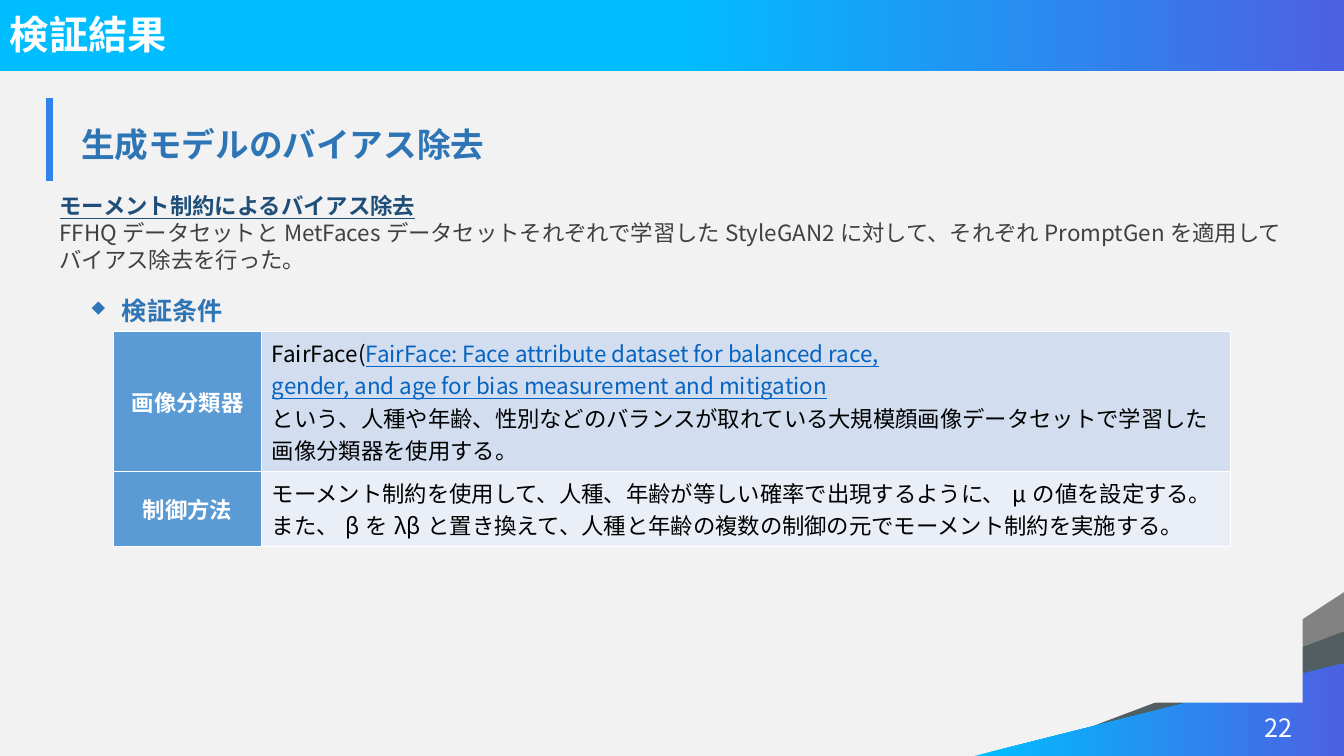
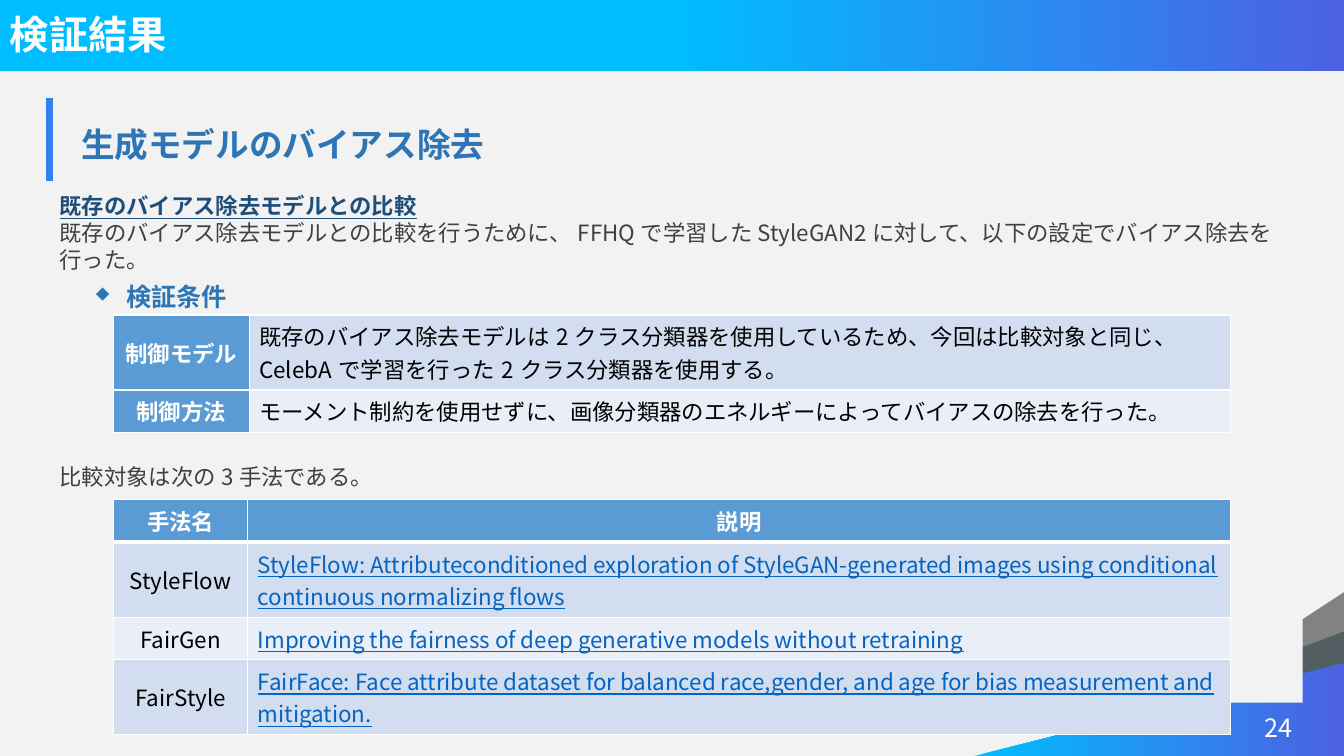
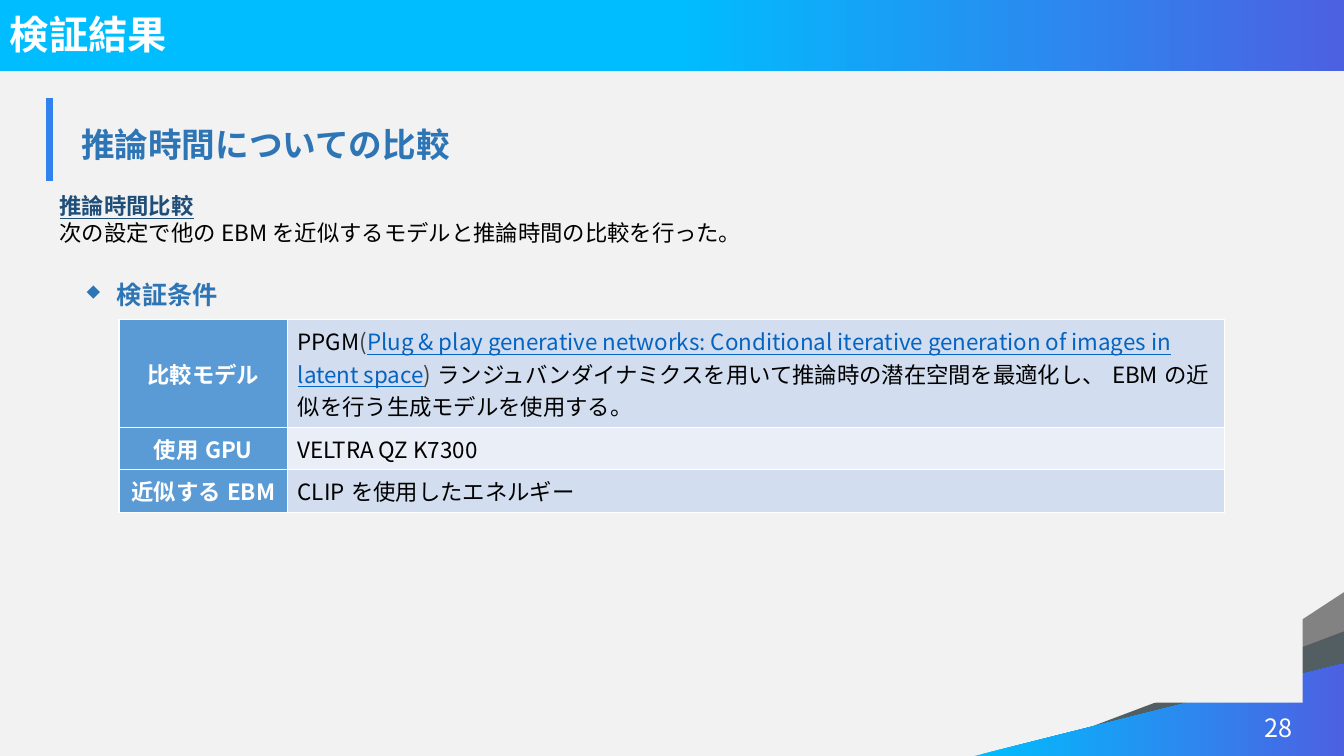
from lxml import etree
from pptx import Presentation
from pptx.dml.color import RGBColor
from pptx.enum.shapes import MSO_SHAPE
from pptx.enum.text import MSO_ANCHOR, PP_ALIGN
from pptx.oxml.ns import qn
from pptx.util import Pt

RECT, TRIANGLE = MSO_SHAPE.RECTANGLE, MSO_SHAPE.RIGHT_TRIANGLE
TOP, MIDDLE = MSO_ANCHOR.TOP, MSO_ANCHOR.MIDDLE
LEFT, CENTER, RIGHT = PP_ALIGN.LEFT, PP_ALIGN.CENTER, PP_ALIGN.RIGHT
SANS, CABIN = "Noto Sans CJK JP", "Cabin"

WHITE = RGBColor(0xFF, 0xFF, 0xFF)
BLACK = RGBColor(0, 0, 0)
PAPER = RGBColor(0xF2, 0xF2, 0xF2)
CYAN = RGBColor(0x00, 0xBD, 0xFF)
VIOLET = RGBColor(0x4C, 0x61, 0xE2)
GREY = RGBColor(0x82, 0x82, 0x82)
SLATE = RGBColor(0x53, 0x5E, 0x62)
ACCENT = RGBColor(0x30, 0x83, 0xED)
BLUE = RGBColor(0x2E, 0x75, 0xB6)
NAVY = RGBColor(0x1F, 0x4E, 0x79)
DARK = RGBColor(0x40, 0x40, 0x40)
LINK = RGBColor(0x05, 0x63, 0xC1)
HEAD = RGBColor(0x5B, 0x9B, 0xD5)
BANDS = [RGBColor(0xD2, 0xDE, 0xEF), RGBColor(0xEA, 0xEF, 0xF7)]

BOLD = {WHITE, BLUE, NAVY}
UNDER = {LINK, NAVY}
WIDTH, HEIGHT = 960, 540
LINE, PAD = 23.17, 7.2  # height of a table text line, cell padding

# Triangles in the lower right corner: run, rise, colours
CORNER = [(179, 117, [GREY]), (236, 89, [SLATE]), (264, 66, [CYAN, VIOLET])]

# Tables: left, top, column widths, header row or not, rows.
# Rows: lines of text, label, paragraphs of (text, colour) pieces.
PAGES = [
    {"number": "22", "heading": "生成モデルのバイアス除去",
     "lead": "モーメント制約によるバイアス除去",
     "body": "FFHQデータセットとMetFacesデータセットそれぞれで学習したStyleGAN2に対して、"
             "それぞれPromptGenを適用してバイアス除去を行った。",
     "ink": DARK, "bullet": (57.5, 207.5),
     "tables": [(81, 237, (106, 692), False, [
         (4, "画像分類器", [
             [("FairFace(", BLACK),
              ("FairFace: Face attribute dataset for balanced race,", LINK)],
             [("gender, and age for bias measurement and mitigation", LINK)],
             [("という、人種や年齢、性別などのバランスが取れている大規模顔画像データセットで"
               "学習した画像分類器を使用する。", BLACK)]]),
         (2, "制御方法", [
             [("モーメント制約を使用して、人種、年齢が等しい確率で出現するように、μの値を設定する。"
               "また、βをλβと置き換えて、人種と年齢の複数の制御の元でモーメント制約を実施する。",
               BLACK)]]),
     ])]},
    {"number": "24", "heading": "生成モデルのバイアス除去",
     "lead": "既存のバイアス除去モデルとの比較",
     "body": "既存のバイアス除去モデルとの比較を行うために、FFHQで学習したStyleGAN2に対して、"
             "以下の設定でバイアス除去を行った。",
     "ink": DARK, "bullet": (60.5, 197.5),
     "note": "比較対象は次の3手法である。",
     "tables": [
         (81, 225, (97, 701), False, [
             (2, "制御モデル", [
                 [("既存のバイアス除去モデルは2クラス分類器を使用しているため、今回は比較対象と同じ、"
                   "CelebAで学習を行った2クラス分類器を使用する。", BLACK)]]),
             (1, "制御方法", [
                 [("モーメント制約を使用せずに、画像分類器のエネルギーによってバイアスの除去を行った。",
                   BLACK)]])]),
         (81, 357, (96, 702), True, [
             (1, "手法名", [[("説明", WHITE)]]),
             (2, "StyleFlow", [
                 [("StyleFlow: Attributeconditioned exploration of StyleGAN-generated "
                   "images using conditional continuous normalizing flows", LINK)]]),
             (1, "FairGen", [
                 [("Improving the fairness of deep generative models without retraining",
                   LINK)]]),
             (2, "FairStyle", [
                 [("FairFace: Face attribute dataset for balanced race,gender, "
                   "and age for bias measurement and mitigation.", LINK)]])])]},
    {"number": "28", "heading": "推論時間についての比較",
     "lead": "推論時間比較",
     "body": "次の設定で他のEBMを近似するモデルと推論時間の比較を行った。",
     "ink": BLACK, "bullet": (54, 196),
     "tables": [(85, 228.5, (120.5, 669), False, [
         (3, "比較モデル", [
             [("PPGM", BLACK), ("(", DARK),
              ("Plug & play generative networks: Conditional iterative generation "
               "of images in latent space", LINK),
              (")", DARK),
              ("ランジュバンダイナミクスを用いて推論時の潜在空間を最適化し、"
               "EBMの近似を行う生成モデルを使用する。", BLACK)]]),
         (1, "使用GPU", [[("VELTRA QZ K7300", BLACK)]]),
         (1, "近似するEBM", [[("CLIPを使用したエネルギー", BLACK)]]),
     ])]},
]


def write(frame, paras, size, align=None, font=SANS, space=None):
    """Fill a text frame with paragraphs of (text, colour) pieces."""
    frame.word_wrap = True
    for i, parts in enumerate(paras):
        para = frame.add_paragraph() if i else frame.paragraphs[0]
        para.alignment = align
        if space:
            para.line_spacing = space
        for text, ink in parts:
            run = para.add_run()
            run.text = text
            run.font.size = Pt(size)
            run.font.bold = ink in BOLD
            run.font.underline = ink in UNDER
            run.font.color.rgb = ink
            run.font.name = font
            if font == SANS:
                east = etree.SubElement(run.font._element, qn("a:ea"))
                east.set("typeface", font)


def dress(cell, fill, edges):
    """Give a cell its fill and its edges: side -> (colour, width)."""
    props = cell._tc.get_or_add_tcPr()
    for side in "LRTB":
        ink, width = edges.get(side, (None, 0))
        line = etree.SubElement(props, qn("a:ln" + side), w=str(Pt(width)))
        if ink is None:
            etree.SubElement(line, qn("a:noFill"))
        else:
            solid = etree.SubElement(line, qn("a:solidFill"))
            etree.SubElement(solid, qn("a:srgbClr"), val=str(ink))
    cell.fill.solid()
    cell.fill.fore_color.rgb = fill


prs = Presentation()
prs.slide_width, prs.slide_height = Pt(WIDTH), Pt(HEIGHT)

for page in PAGES:
    slide = prs.slides.add_slide(prs.slide_layouts[6])
    slide.background.fill.solid()
    slide.background.fill.fore_color.rgb = PAPER
    shapes = slide.shapes

    # Band, corner and body panel: kind, box, rotation, colours, gradient start
    decor = [(RECT, (0, 0, WIDTH, 51), 0, [CYAN, VIOLET], 0.5)]
    for run, rise, inks in CORNER:
        box = (WIDTH - (run + rise) / 2, HEIGHT - (run + rise) / 2, rise, run)
        decor.append((TRIANGLE, box, 270, inks, 0))
    decor.append((RECT, (35.5, 134, 895, 368), 0, [PAPER], 0))
    for kind, box, turn, inks, start in decor:
        shape = shapes.add_shape(kind, *map(Pt, box))
        shape.rotation = turn
        shape.shadow.inherit = False
        shape.line.fill.background()
        if len(inks) == 1:
            shape.fill.solid()
            shape.fill.fore_color.rgb = inks[0]
        else:
            shape.fill.gradient()
            shape.fill.gradient_angle = 0
            for stop, ink, pos in zip(shape.fill.gradient_stops, inks, (start, 1)):
                stop.color.rgb = ink
                stop.position = pos
            shape._element.spPr.find(qn("a:gradFill")).set("rotWithShape", "0")

    # The panel is the last shape drawn above
    panel = shape.text_frame
    panel.vertical_anchor = TOP
    write(panel, [[(page["lead"], NAVY)], [(page["body"], page["ink"])]], 16, LEFT)

    title = shapes.add_textbox(0, 0, Pt(780), Pt(48)).text_frame
    title.vertical_anchor = MIDDLE
    write(title, [[("検証結果", WHITE)]], 28)
    number = shapes.add_textbox(Pt(706), Pt(505), Pt(224), Pt(20)).text_frame
    write(number, [[(page["number"], WHITE)]], 18, RIGHT)
    number.paragraphs[0].runs[0].font.bold = False

    grid = shapes.add_table(1, 1, Pt(35.5), Pt(70), Pt(895), Pt(59)).table
    grid.first_row = grid.horz_banding = False
    cell = grid.cell(0, 0)
    dress(cell, PAPER, {"L": (ACCENT, 6)})
    cell.vertical_anchor = MIDDLE
    cell.margin_left, cell.margin_right = Pt(22.5), Pt(14.5)
    cell.margin_top, cell.margin_bottom = Pt(11.5), Pt(10)
    write(cell.text_frame, [[(page["heading"], BLUE)]], 24, space=1.1)

    for left, top, cols, header, rows in page["tables"]:
        tall = [count * LINE + PAD for count, _, _ in rows]
        grid = shapes.add_table(len(rows), 2, Pt(left), Pt(top),
                                Pt(sum(cols)), Pt(sum(tall))).table
        grid.first_row, grid.horz_banding = header, False
        for col, width in zip(grid.columns, cols):
            col.width = Pt(width)
        for r, (_, label, paras) in enumerate(rows):
            grid.rows[r].height = Pt(tall[r])
            top_row = header and r == 0
            band = BANDS[(r - header) % 2]
            edges = dict.fromkeys("LRTB", (WHITE, 1))
            if top_row:
                edges["B"] = (WHITE, 3)
            elif header and r == 1:
                edges["T"] = (WHITE, 3)
            key, info = grid.cell(r, 0), grid.cell(r, 1)
            solid = top_row or not header
            dress(key, HEAD if solid else band, edges)
            dress(info, HEAD if top_row else band, edges)
            key.vertical_anchor = MIDDLE
            write(key.text_frame, [[(label, WHITE if solid else BLACK)]], 16, CENTER)
            write(info.text_frame, paras, 16, CENTER if top_row else None)

    left, top = page["bullet"]
    point = shapes.add_textbox(Pt(left), Pt(top), Pt(132.5), Pt(29)).text_frame
    props = point.paragraphs[0]._p.get_or_add_pPr()
    props.set("marL", str(Pt(22.5)))
    props.set("indent", str(Pt(-22.5)))
    etree.SubElement(props, qn("a:buSzPct"), val="65000")
    etree.SubElement(props, qn("a:buFont"), typeface="Wingdings")
    etree.SubElement(props, qn("a:buChar"), char="u")
    write(point, [[("検証条件", BLUE)]], 18, font=CABIN)

    if "note" in page:
        note = shapes.add_textbox(Pt(35.5), Pt(327.5), Pt(485), Pt(27))
        write(note.text_frame, [[(page["note"], DARK)]], 16)

prs.save("out.pptx")
